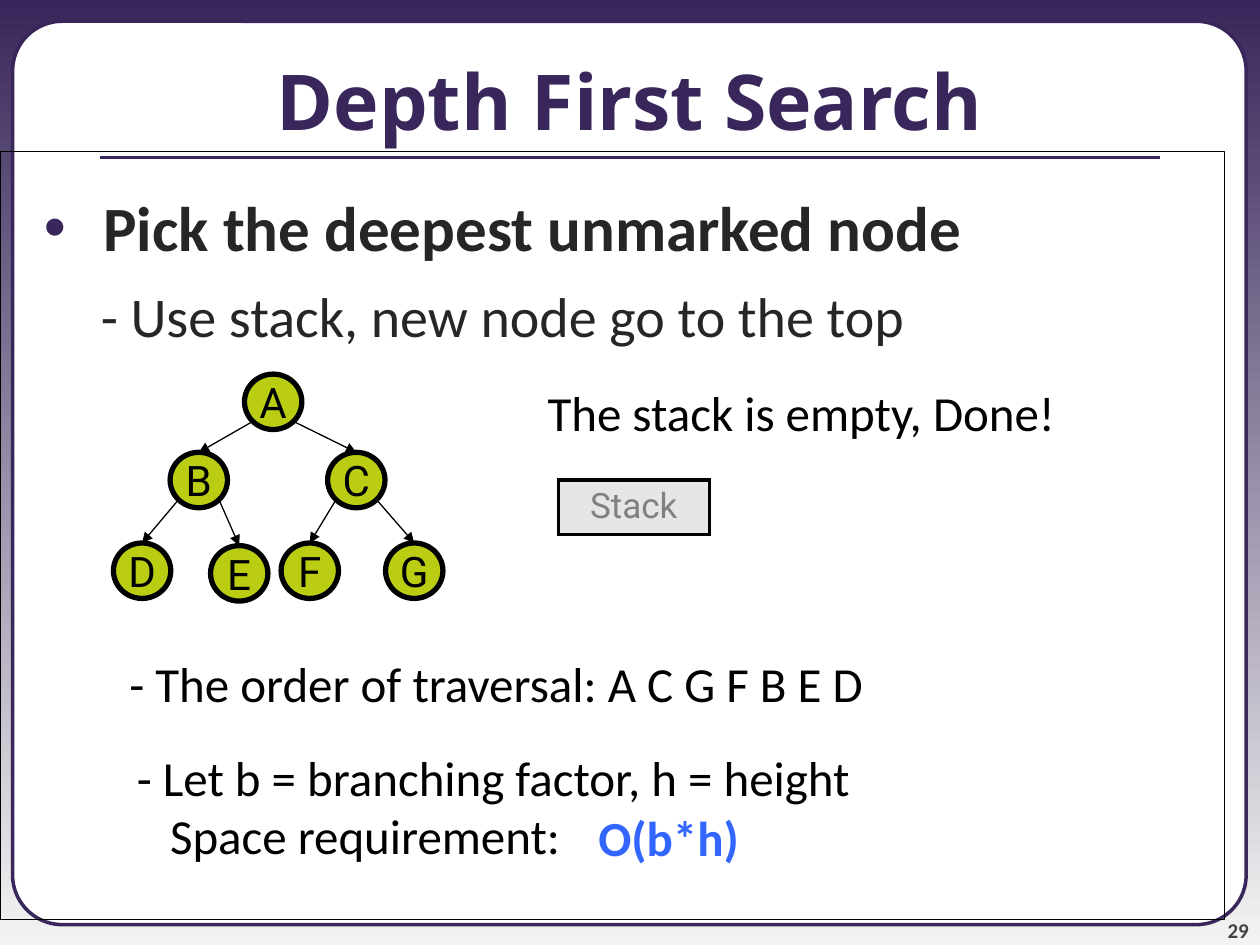
from lxml.etree import SubElement
from pptx import Presentation
from pptx.dml.color import RGBColor
from pptx.enum.shapes import MSO_CONNECTOR, MSO_SHAPE
from pptx.enum.text import MSO_ANCHOR, PP_ALIGN
from pptx.oxml.ns import qn
from pptx.util import Pt

PURPLE = RGBColor(0x39, 0x27, 0x5B)
PALE = RGBColor(0xF3, 0xF3, 0xF3)
WHITE = RGBColor(0xFF, 0xFF, 0xFF)
BLACK = RGBColor(0, 0, 0)
DARK = RGBColor(0x26, 0x26, 0x26)
NUMBER_GRAY = RGBColor(0x42, 0x42, 0x42)
LIME = RGBColor(0xBB, 0xCD, 0x13)
BLUE = RGBColor(0x33, 0x66, 0xFF)
CELL_GRAY = RGBColor(0xE6, 0xE6, 0xE6)
TEXT_GRAY = RGBColor(0x80, 0x80, 0x80)

NODE_WIDTH, NODE_HEIGHT = 32.8, 31.7
NODES = {
    "A": (139.7, 213.8),
    "B": (97.2, 258.5), "C": (187.2, 258.5),
    "D": (64.8, 310.3), "E": (120.3, 311.8),
    "F": (160.6, 310.3), "G": (220.3, 310.3),
}
CHILDREN = {"A": "BC", "B": "DE", "C": "FG"}
NOTES = [
    ((305.8, 215.3, 388, 41), ["The stack is empty, Done!"]),
    ((66.8, 370.1, 506, 41), ["- The order of traversal: A C G F B E D"]),
    ((71.1, 423.4, 436, 75), ["- Let b = branching factor, h = height",
                              "Space requirement:"]),
]


def write(frame, text, size=28, font="Calibri", color=BLACK, bold=False,
          align=PP_ALIGN.LEFT, margin=0, indent=0, before=0, bullet=None, new=False):
    para = frame.add_paragraph() if new else frame.paragraphs[0]
    para.alignment = align
    para.space_before = Pt(before)
    properties = para._p.get_or_add_pPr()
    properties.set("marL", str(Pt(margin)))
    properties.set("indent", str(Pt(indent)))
    if bullet:
        bullet_color = SubElement(properties, qn("a:buClr"))
        SubElement(bullet_color, qn("a:srgbClr"), val=str(PURPLE))
        SubElement(properties, qn("a:buFont"), typeface="Arial")
        SubElement(properties, qn("a:buChar"), char=bullet)
    span = para.add_run()
    span.text = text
    span.font.size = Pt(size)
    span.font.name = font
    span.font.bold = bold
    span.font.color.rgb = color


def add_box(place, anchor=MSO_ANCHOR.TOP, wrap=True):
    frame = page.shapes.add_textbox(*map(Pt, place)).text_frame
    frame.word_wrap = wrap
    frame.vertical_anchor = anchor
    return frame


def add_outline(kind, place, fill, line, width):
    shape = page.shapes.add_shape(kind, *map(Pt, place))
    shape.shadow.inherit = False
    if fill is None:
        shape.fill.background()
    else:
        shape.fill.solid()
        shape.fill.fore_color.rgb = fill
    shape.line.color.rgb = line
    shape.line.width = Pt(width)
    return shape


def add_line(start, end, color, width, arrow=False):
    line = page.shapes.add_connector(MSO_CONNECTOR.STRAIGHT, *map(Pt, start + end))
    line.line.color.rgb = color
    line.line.width = Pt(width)
    if arrow:
        SubElement(line.line._get_or_add_ln(), qn("a:tailEnd"), type="triangle")
    SubElement(line._element.spPr, qn("a:effectLst"))


deck = Presentation()
deck.slide_width, deck.slide_height = Pt(720), Pt(540)
page = deck.slides.add_slide(deck.slide_layouts[6])
background = page.background.fill
background.gradient()
background.gradient_angle = 270
for stop, color, position in zip(background.gradient_stops, (PURPLE, PALE), (0, 1)):
    stop.color.rgb = color
    stop.position = position

panel = add_outline(MSO_SHAPE.ROUNDED_RECTANGLE, (7.2, 12.2, 704.9, 516.2), WHITE, PURPLE, 2)
panel.adjustments[0] = 0.055
number = add_box((653.8, 509.8, 59.8, 28.8), anchor=MSO_ANCHOR.BOTTOM)
number.margin_left = number.margin_right = number.margin_top = number.margin_bottom = 0
write(number, "29", size=12, color=NUMBER_GRAY, bold=True, align=PP_ALIGN.RIGHT)
add_line((56.9, 90), (663.1, 90), PURPLE, 2.25)
title = add_box((0, 12.2, 720, 90), anchor=MSO_ANCHOR.MIDDLE)
write(title, "Depth First Search", size=44, font="Open Sans", color=PURPLE,
      bold=True, align=PP_ALIGN.CENTER)

body = add_outline(MSO_SHAPE.RECTANGLE, (0, 86.4, 699.8, 439.2), None, BLACK, 0.75).text_frame
body.word_wrap = True
body.vertical_anchor = MSO_ANCHOR.TOP
body.margin_top = Pt(21.6)
write(body, "Pick the deepest unmarked node", size=36, color=DARK, bold=True,
      margin=52, indent=-34, bullet="•")
write(body, "- Use stack, new node go to the top", size=32, color=DARK,
      margin=50.5, before=9.5, new=True)

for name, (left, top) in NODES.items():
    node = add_outline(MSO_SHAPE.OVAL, (left, top, NODE_WIDTH, NODE_HEIGHT), LIME, BLACK, 3)
    node.text_frame.word_wrap = False
    node.text_frame.vertical_anchor = MSO_ANCHOR.MIDDLE
    write(node.text_frame, name, size=24, font="Roboto", align=PP_ALIGN.CENTER)
for parent, children in CHILDREN.items():
    left, top = NODES[parent]
    for child, side in zip(children, (0.15, 0.85)):
        child_left, child_top = NODES[child]
        add_line((left + side * NODE_WIDTH, top + 0.85 * NODE_HEIGHT),
                 (child_left + NODE_WIDTH / 2, child_top), BLACK, 0.75, arrow=True)

table = page.shapes.add_table(1, 1, Pt(319), Pt(274.3), Pt(86.4), Pt(31)).table
cell = table.cell(0, 0)
write(cell.text_frame, "Stack", size=20, font="Roboto", color=TEXT_GRAY, align=PP_ALIGN.CENTER)
cell_properties = cell._tc.get_or_add_tcPr()
for edge in ("lnL", "lnR", "lnT", "lnB"):
    border = SubElement(cell_properties, qn("a:" + edge), w=str(Pt(2.25)))
    border_fill = SubElement(border, qn("a:solidFill"))
    SubElement(border_fill, qn("a:srgbClr"), val=str(BLACK))
cell.fill.solid()
cell.fill.fore_color.rgb = CELL_GRAY

for place, lines in NOTES:
    frame = add_box(place)
    for index, text in enumerate(lines):
        write(frame, text, margin=19 * index, new=index > 0)
write(add_box((334.8, 457.9, 96, 41), wrap=False), "O(b*h)", color=BLUE, bold=True)

deck.save("out.pptx")
